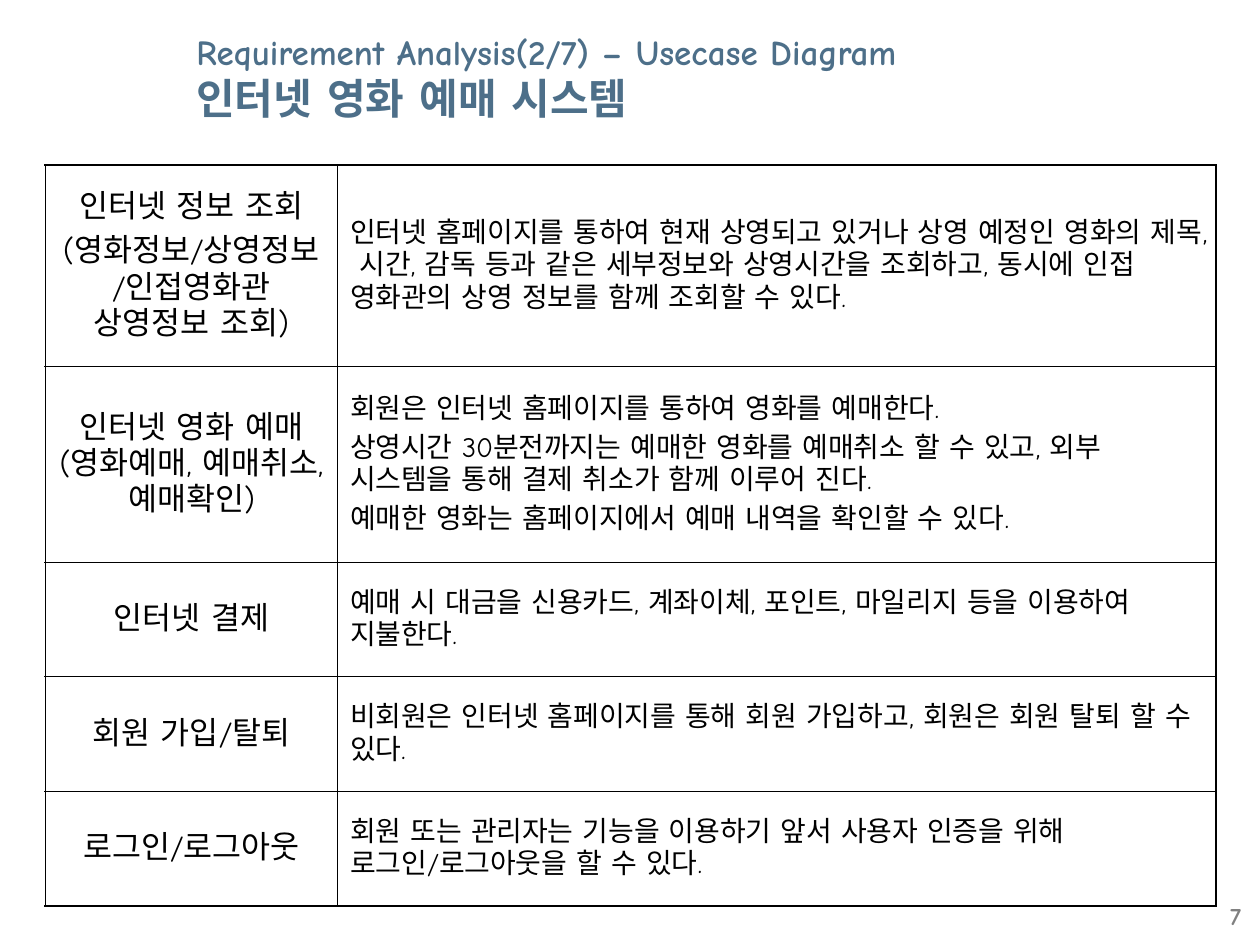
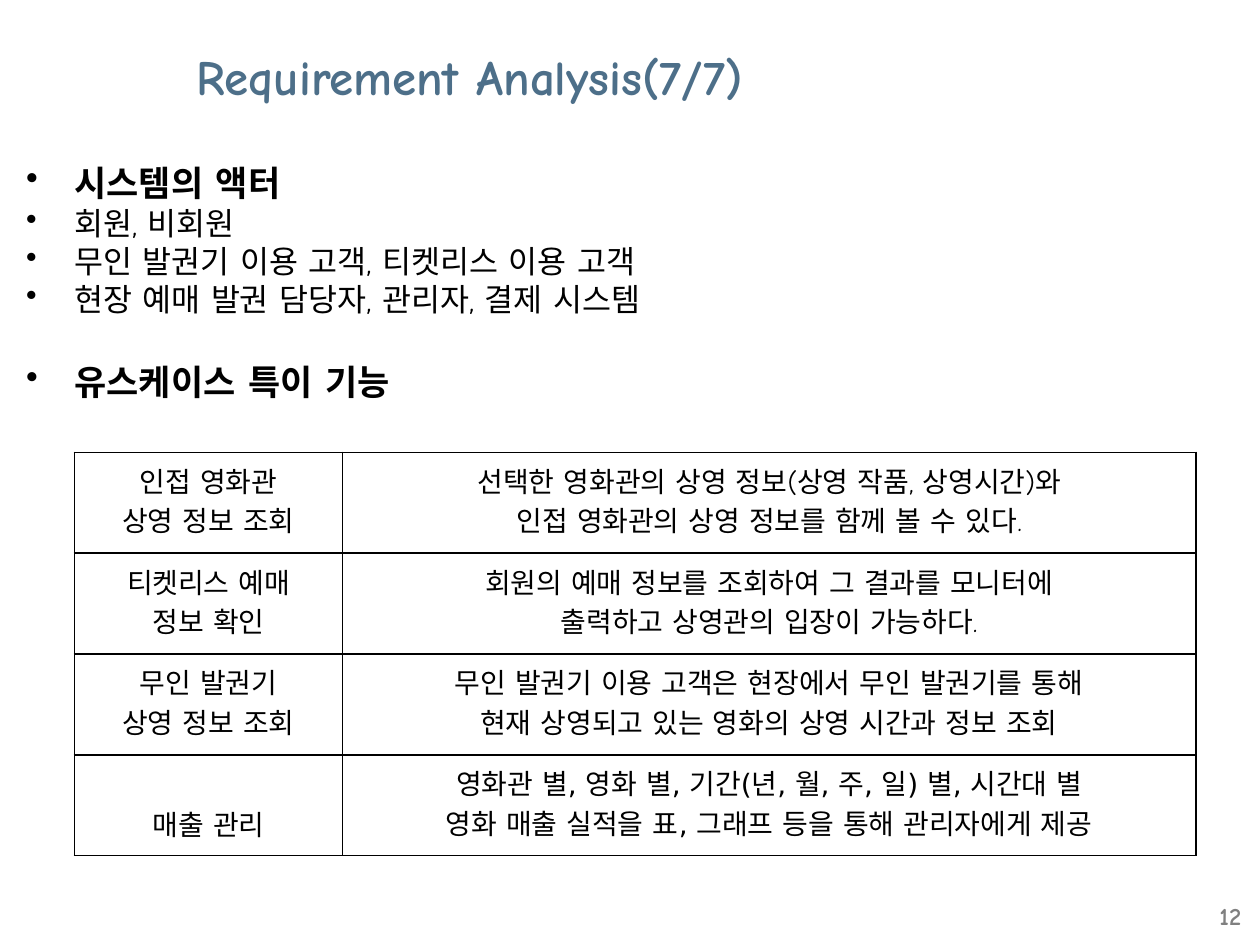
from lxml import etree
from pptx import Presentation
from pptx.dml.color import RGBColor
from pptx.enum.text import MSO_ANCHOR, PP_ALIGN
from pptx.oxml.ns import qn
from pptx.util import Inches, Pt

COLORS = {"title": "4D6F89", "text": "000000", "page": "808080"}
FONT = "Comic Neue"
THIN, THICK = 0.45, 1.08


def style(p, size, color="text", bold=False, align=PP_ALIGN.LEFT, before=0, font=FONT):
    p.alignment = align
    p.space_before = Pt(before)
    p.font.size = Pt(size)
    p.font.bold = bold
    p.font.color.rgb = RGBColor.from_string(COLORS[color])
    p.font.name = font
    latin = p._p.pPr.find(qn("a:defRPr")).find(qn("a:latin"))
    latin.addnext(etree.Element(qn("a:ea"), typeface=FONT))
    for r in p.runs:
        r.font.name = font
        r_latin = r._r.rPr.find(qn("a:latin"))
        r_latin.addnext(etree.Element(qn("a:ea"), typeface=FONT))


def add_grid(s, left, top, widths, heights, rows, sizes, aligns, inner, last_font=FONT):
    table = s.shapes.add_table(len(rows), len(widths), Inches(left), Inches(top),
                               Inches(sum(widths)), Inches(sum(heights))).table
    table.first_row = table.horz_banding = False
    for col, width in zip(table.columns, widths):
        col.width = Inches(width)
    for i, row in enumerate(rows):
        last = i == len(rows) - 1
        table.rows[i].height = Inches(heights[i])
        for j, text in enumerate(row):
            cell = table.cell(i, j)
            cell.vertical_anchor = MSO_ANCHOR.MIDDLE
            cell.fill.background()
            cell.text_frame.text = text
            for p in cell.text_frame.paragraphs:
                style(p, sizes[j], align=aligns[j], before=sizes[j] / 4,
                      font=last_font if last else FONT)
            edges = {"a:lnL": THIN if j else THICK,
                     "a:lnR": THICK if j == len(widths) - 1 else THIN,
                     "a:lnT": inner if i else THICK,
                     "a:lnB": THICK if last else inner}
            tc_pr = cell._tc.get_or_add_tcPr()
            for k, (tag, width) in enumerate(edges.items()):
                ln = etree.Element(qn(tag), w=str(Pt(width)))
                fill = etree.SubElement(ln, qn("a:solidFill"))
                etree.SubElement(fill, qn("a:srgbClr"), val=COLORS["text"])
                tc_pr.insert(k, ln)
    return table


prs = Presentation()
prs.slide_width, prs.slide_height = Inches(10), Inches(7.5)

pages = [
    ("7", [("Requirement Analysis(2/7) – Usecase Diagram", 20), ("인터넷 영화 예매 시스템", 24)]),
    ("12", [("Requirement Analysis(7/7)", 28)]),
]
slides = []
for number, title in pages:
    s = prs.slides.add_slide(prs.slide_layouts[6])
    slides.append(s)
    tf = s.shapes.add_textbox(Inches(7.62), Inches(7.1), Inches(2.33), Inches(0.36)).text_frame
    tf.word_wrap = True
    tf.text = number
    style(tf.paragraphs[0], 14, "page", True, PP_ALIGN.RIGHT)

    tf = s.shapes.add_textbox(Inches(1.46), Inches(0.13), Inches(8.54), Inches(0.95)).text_frame
    tf.word_wrap = True
    tf.vertical_anchor = MSO_ANCHOR.MIDDLE
    p = tf.paragraphs[0]
    for i, (text, size) in enumerate(title):
        if i:
            p.add_line_break()
        r = p.add_run()
        r.text = text
        r.font.size = Pt(size)
    style(p, title[0][1], "title", True)

usecases = [
    ("인터넷 정보 조회\n(영화정보/상영정보/인접영화관 상영정보 조회)",
     "인터넷 홈페이지를 통하여 현재 상영되고 있거나 상영 예정인 영화의 제목, 시간, 감독 등과 같은 "
     "세부정보와 상영시간을 조회하고, 동시에 인접 영화관의 상영 정보를 함께 조회할 수 있다."),
    ("인터넷 영화 예매(영화예매, 예매취소, 예매확인)",
     "회원은 인터넷 홈페이지를 통하여 영화를 예매한다.\n"
     "상영시간 30분전까지는 예매한 영화를 예매취소 할 수 있고, 외부 시스템을 통해 결제 취소가 함께 이루어 진다.\n"
     "예매한 영화는 홈페이지에서 예매 내역을 확인할 수 있다."),
    ("인터넷 결제",
     "예매 시 대금을 신용카드, 계좌이체, 포인트, 마일리지 등을 이용하여 지불한다."),
    ("회원 가입/탈퇴",
     "비회원은 인터넷 홈페이지를 통해 회원 가입하고, 회원은 회원 탈퇴 할 수 있다."),
    ("로그인/로그아웃",
     "회원 또는 관리자는 기능을 이용하기 앞서 사용자 인증을 위해 로그인/로그아웃을 할 수 있다."),
]
add_grid(slides[0], 0.36, 1.31, [2.32, 6.97], [1.6, 1.55] + [0.91] * 3, usecases,
         [18, 16], [PP_ALIGN.CENTER, PP_ALIGN.LEFT], THIN)

bullets = [
    ("시스템의 액터", 20, 0),
    ("회원, 비회원", 18, 0.3),
    ("무인 발권기 이용 고객, 티켓리스 이용 고객", 18, 0.3),
    ("현장 예매 발권 담당자, 관리자, 결제 시스템", 18, 0.3),
    ("유스케이스 특이 기능", 20, 24.2),
]
tf = slides[1].shapes.add_textbox(Inches(0.11), Inches(1.23), Inches(9.69), Inches(2.28)).text_frame
tf.word_wrap = True
tf.text = "\n".join(text for text, size, before in bullets)
for p, (text, size, before) in zip(tf.paragraphs, bullets):
    style(p, size, bold=size == 20, before=before)
    p_pr = p._p.get_or_add_pPr()
    p_pr.set("marL", str(Inches(0.38)))
    p_pr.set("indent", str(Inches(-0.38)))
    bullet = etree.Element(qn("a:buChar"), char="•")
    p_pr.find(qn("a:defRPr")).addprevious(bullet)

features = [
    ("인접 영화관\n상영 정보 조회",
     "선택한 영화관의 상영 정보(상영 작품, 상영시간)와\n인접 영화관의 상영 정보를 함께 볼 수 있다."),
    ("티켓리스 예매\n정보 확인",
     "회원의 예매 정보를 조회하여 그 결과를 모니터에\n출력하고 상영관의 입장이 가능하다."),
    ("무인 발권기\n상영 정보 조회",
     "무인 발권기 이용 고객은 현장에서 무인 발권기를 통해\n현재 상영되고 있는 영화의 상영 시간과 정보 조회"),
    ("매출 관리",
     "영화관 별, 영화 별, 기간(년, 월, 주, 일) 별, 시간대 별\n"
     "영화 매출 실적을 표, 그래프 등을 통해 관리자에게 제공"),
]
table = add_grid(slides[1], 0.59, 3.59, [2.13, 6.77], [0.8] * 4, features,
                 [16, 16], [PP_ALIGN.CENTER] * 2, THICK, "DejaVu Sans")
table.cell(3, 0).margin_top = Inches(0.39)

prs.save("out.pptx")
